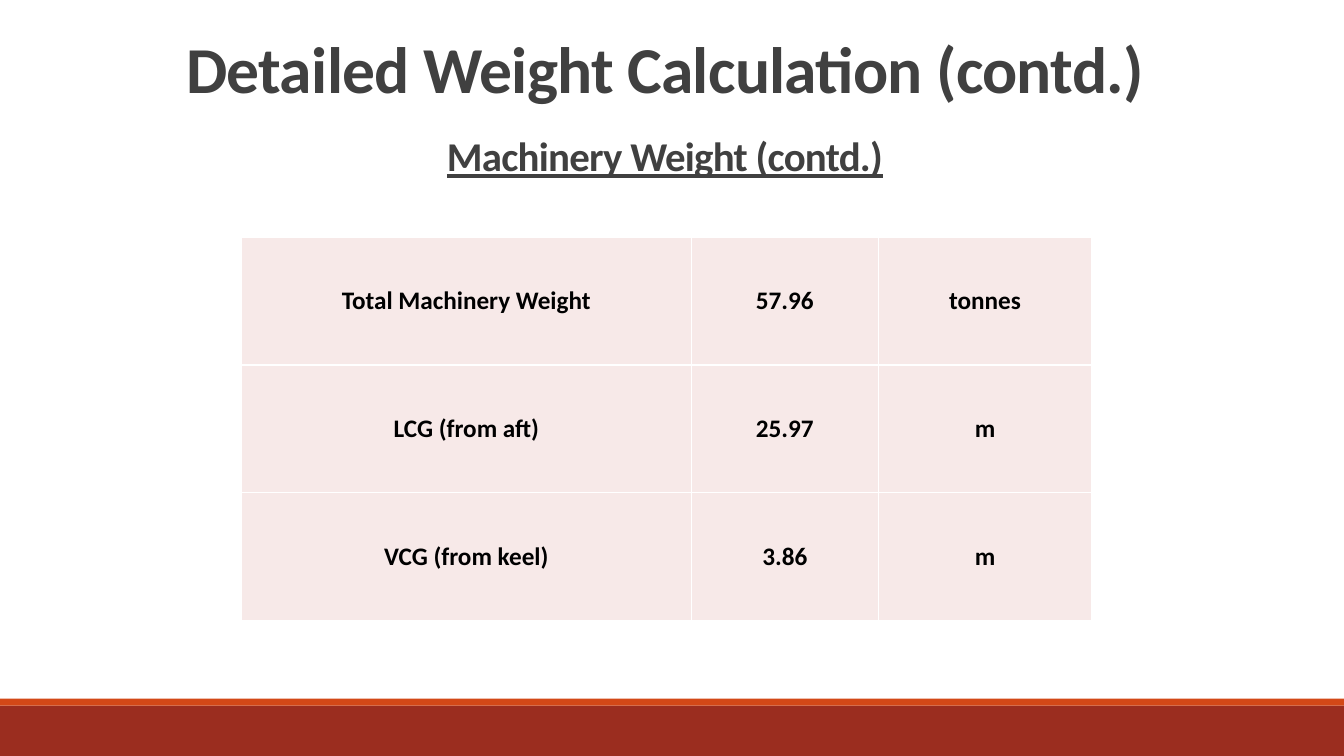
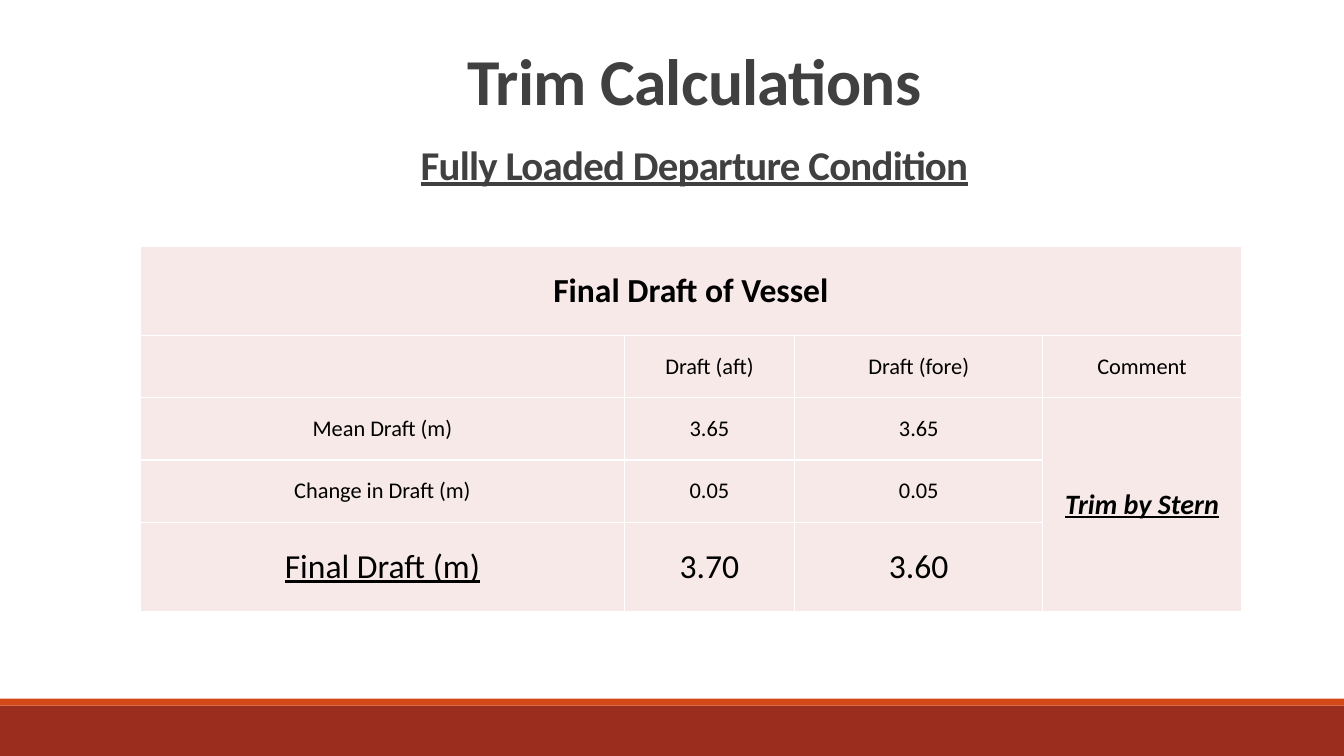
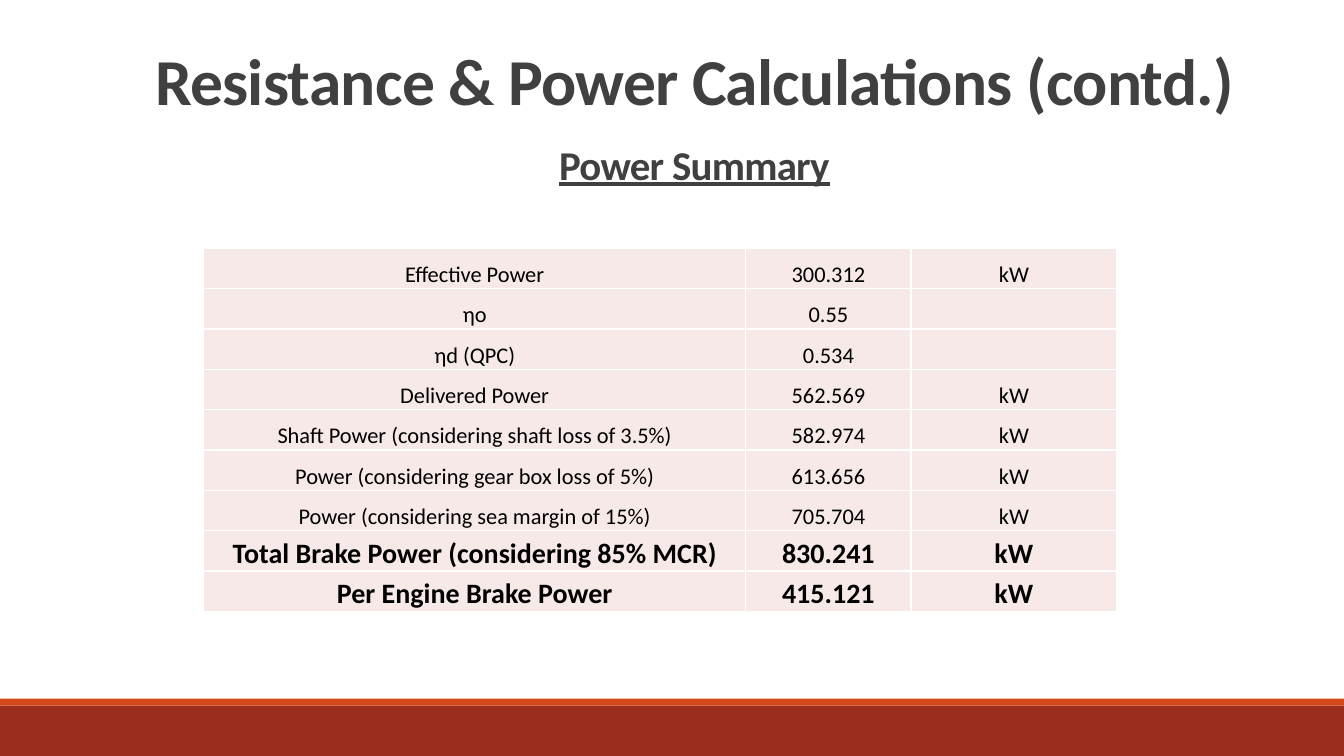
from lxml import etree
from pptx import Presentation
from pptx.dml.color import RGBColor
from pptx.enum.shapes import MSO_SHAPE
from pptx.enum.text import MSO_ANCHOR as ANCHOR, PP_ALIGN
from pptx.oxml.ns import qn
from pptx.util import Pt

COLORS = {
    "band": "9B2D1F", "stripe": "D34817", "heading": "404040",
    "cell": "F7E9E8", "body": "000000", "border": "FFFFFF",
}
FONT = "Calibri"
SLIDE_W, SLIDE_H = 960, 540
BANDS = [("band", 504, 36), ("stripe", 499, 5)]  # colour, top, height
HEADING_W, HEADING_H = 792, 114.5
TITLE = dict(size=46.8, bold=True, color="heading", spacing=-0.5, line=0.85)
SUBTITLE = {**TITLE, "size": 29.2, "underline": True}

NORMAL = dict(size=16)
LABEL = dict(size=18, bold=True)
LARGE = dict(size=24)
TOTAL = dict(size=20, bold=True)
VERDICT = dict(size=20, bold=True, italic=True, underline=True)

# Each row is (height, text format, cells); a cell may be (text, own format).
SLIDES = [
    dict(
        title="Detailed Weight Calculation (contd.)",
        subtitle="Machinery Weight (contd.)",
        heading_left=79, title_top=25, subtitle_top=95.5,
        table=dict(
            left=172.4, top=169.5, columns=[321.5, 133.5, 152.5],
            anchor=ANCHOR.MIDDLE, inset=0, merges=[],
            rows=[
                (91.2, LABEL, ["Total Machinery Weight", "57.96", "tonnes"]),
                (91.2, LABEL, ["LCG (from aft)", "25.97", "m"]),
                (91.2, LABEL, ["VCG (from keel)", "3.86", "m"]),
            ],
        ),
    ),
    dict(
        title="Trim Calculations",
        subtitle="Fully Loaded Departure Condition",
        heading_left=100, title_top=34, subtitle_top=101.5,
        table=dict(
            left=100.4, top=176, columns=[345.5, 121.8, 177.2, 141.8],
            anchor=ANCHOR.MIDDLE, inset=0,
            merges=[((0, 0), (0, 3)), ((2, 3), (4, 3))],
            rows=[
                (63.8, {**LARGE, "bold": True},
                 ["Final Draft of Vessel", "", "", ""]),
                (44.4, NORMAL, ["", "Draft (aft)", "Draft (fore)", "Comment"]),
                (44.4, NORMAL, ["Mean Draft (m)", "3.65", "3.65",
                                ("Trim by Stern", VERDICT)]),
                (44.4, NORMAL, ["Change in Draft (m)", "0.05", "0.05", ""]),
                (63.8, LARGE, [("Final Draft (m)", {**LARGE, "underline": True}),
                               "3.70", "3.60", ""]),
            ],
        ),
    ),
    dict(
        title="Resistance & Power Calculations (contd.)",
        subtitle="Power Summary",
        heading_left=100, title_top=34, subtitle_top=101.5,
        table=dict(
            left=145.4, top=177.4, columns=[387.4, 118, 147],
            anchor=ANCHOR.BOTTOM, inset=0.7, merges=[],
            rows=[
                (28.8, NORMAL, ["Effective Power", "300.312", "kW"]),
                (28.8, NORMAL, ["ηo", "0.55", ""]),
                (28.8, NORMAL, ["ηd (QPC)", "0.534", ""]),
                (28.8, NORMAL, ["Delivered Power", "562.569", "kW"]),
                (28.8, NORMAL, ["Shaft Power (considering shaft loss of 3.5%)",
                                "582.974", "kW"]),
                (28.8, NORMAL, ["Power (considering gear box loss of 5%)",
                                "613.656", "kW"]),
                (28.8, NORMAL, ["Power (considering sea margin of 15%)",
                                "705.704", "kW"]),
                (28.8, TOTAL, ["Total Brake Power (considering 85% MCR)",
                               "830.241", "kW"]),
                (28.8, TOTAL, ["Per Engine Brake Power", "415.121", "kW"]),
            ],
        ),
    ),
]


def rgb(name):
    return RGBColor.from_string(COLORS[name])


def write(frame, text, size, bold=False, italic=False, underline=False,
          color="body", spacing=None, line=None):
    """Put one centred, formatted paragraph into a text frame."""
    paragraph = frame.paragraphs[0]
    paragraph.alignment = PP_ALIGN.CENTER
    if line:
        paragraph.line_spacing = line
    run = paragraph.add_run()
    run.text = text
    font = run.font
    font.name, font.size = FONT, Pt(size)
    font.bold, font.italic, font.underline = bold, italic, underline
    font.color.rgb = rgb(color)
    if spacing:
        font._element.set("spc", str(round(spacing * 100)))


def add_bands(slide):
    for color, top, height in BANDS:
        band = slide.shapes.add_shape(
            MSO_SHAPE.RECTANGLE, 0, Pt(top), Pt(SLIDE_W), Pt(height))
        band.shadow.inherit = False
        band.fill.solid()
        band.fill.fore_color.rgb = rgb(color)
        band.line.fill.background()


def add_heading(slide, text, left, top, style):
    box = slide.shapes.add_textbox(Pt(left), Pt(top), Pt(HEADING_W), Pt(HEADING_H))
    box.text_frame.word_wrap = True
    write(box.text_frame, text, **style)


def style_cell(cell, anchor, inset):
    cell.vertical_anchor = anchor
    cell.margin_left = cell.margin_right = cell.margin_top = Pt(inset)
    cell.margin_bottom = 0
    properties = cell._tc.get_or_add_tcPr()
    for side in ("lnL", "lnR", "lnT", "lnB"):
        border = etree.SubElement(properties, qn(f"a:{side}"), w=str(Pt(1)))
        fill = etree.SubElement(border, qn("a:solidFill"))
        etree.SubElement(fill, qn("a:srgbClr"), val=COLORS["border"])
    cell.fill.solid()
    cell.fill.fore_color.rgb = rgb("cell")


def add_data_table(slide, left, top, columns, rows, anchor, inset, merges):
    height = sum(row[0] for row in rows)
    table = slide.shapes.add_table(
        len(rows), len(columns), Pt(left), Pt(top),
        Pt(sum(columns)), Pt(height)).table
    table.first_row = table.horz_banding = False
    for column, width in zip(table.columns, columns):
        column.width = Pt(width)
    for row, (row_height, row_style, contents) in zip(table.rows, rows):
        row.height = Pt(row_height)
        for cell, content in zip(row.cells, contents):
            style_cell(cell, anchor, inset)
            text, style = (content if isinstance(content, tuple)
                           else (content, row_style))
            if text:
                write(cell.text_frame, text, **style)
    for first, last in merges:
        table.cell(*first).merge(table.cell(*last))


def main():
    deck = Presentation()
    deck.slide_width, deck.slide_height = Pt(SLIDE_W), Pt(SLIDE_H)
    for content in SLIDES:
        slide = deck.slides.add_slide(deck.slide_layouts[6])
        add_bands(slide)
        left = content["heading_left"]
        add_heading(slide, content["title"], left, content["title_top"], TITLE)
        add_heading(slide, content["subtitle"], left, content["subtitle_top"], SUBTITLE)
        add_data_table(slide, **content["table"])
    deck.save("out.pptx")


if __name__ == "__main__":
    main()
